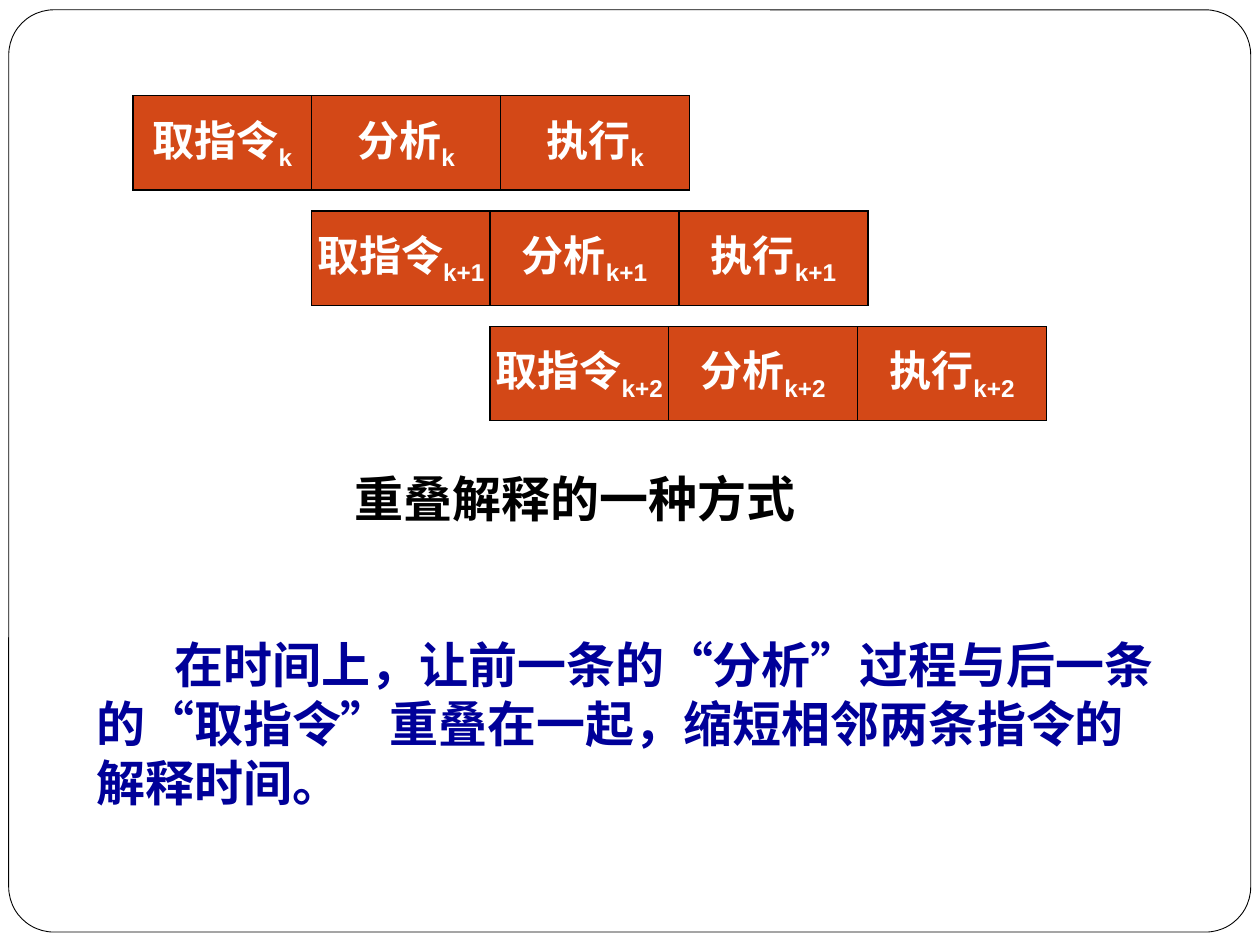
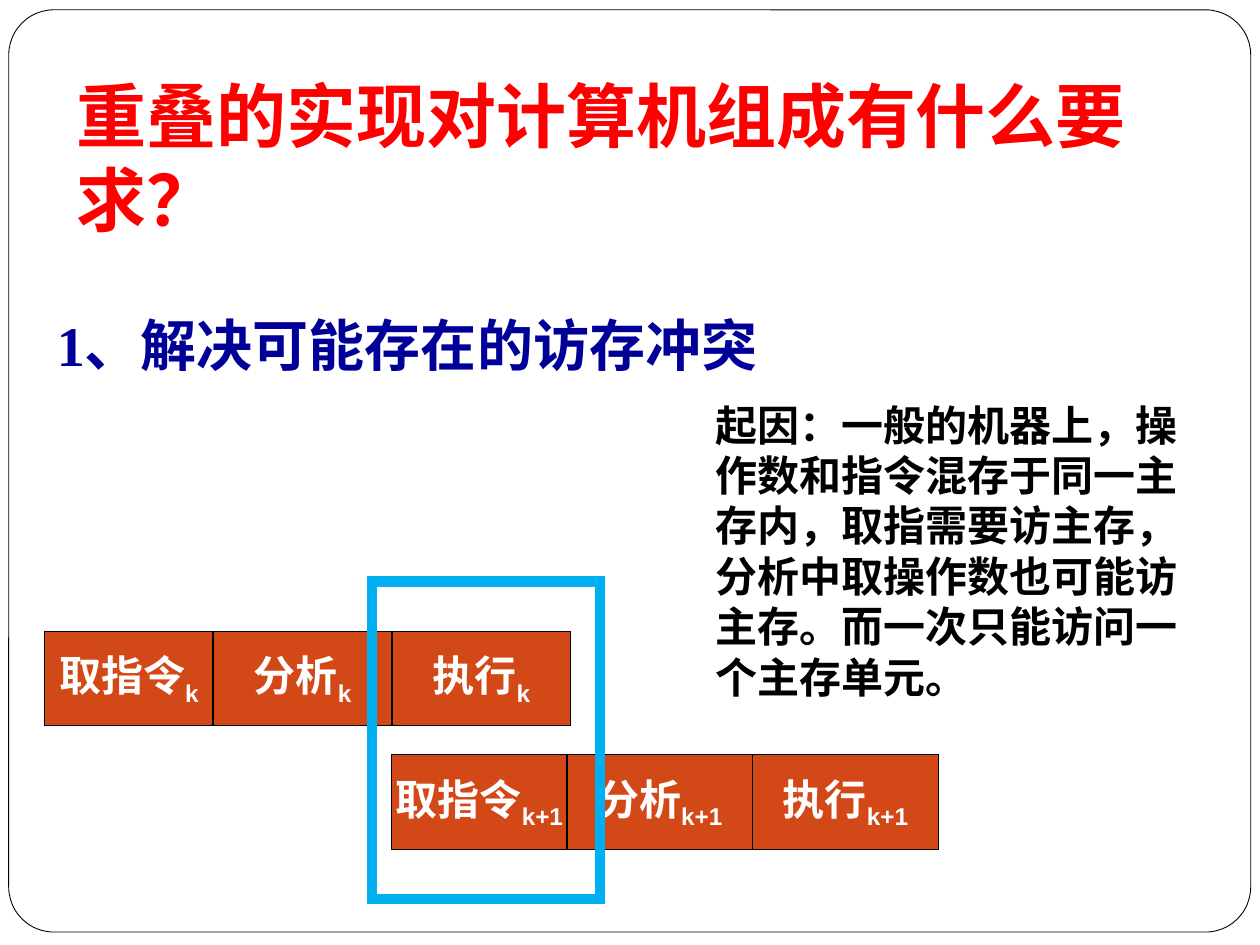
from dataclasses import dataclass

from lxml.etree import SubElement
from pptx import Presentation
from pptx.dml.color import RGBColor
from pptx.enum.shapes import MSO_SHAPE
from pptx.enum.text import MSO_ANCHOR, MSO_AUTO_SIZE, PP_ALIGN
from pptx.oxml.ns import qn
from pptx.util import Pt


@dataclass(frozen=True)
class Theme:
    white: str = "FFFFFF"
    black: str = "000000"
    stage: str = "D34817"
    navy: str = "000099"
    red: str = "FF0000"
    highlight: str = "00B0F0"
    sans: str = "Arial"
    serif: str = "Times New Roman"
    chinese: str = "Noto Sans CJK SC"
    title_size: int = 40
    heading_size: int = 32
    text_size: int = 28
    small_size: int = 24
    line_height: float = 1.2


THEME = Theme()
STAGES = ["取指令", "分析", "执行"]
STAGE_HEIGHT = 54

# Each instruction row: subscript, left, top, width of the first stage, width of the others
OVERLAP_ROWS = [
    (subscript, 76.1 + 102 * number, 54.6 + 65.9 * number, 102, 108)
    for number, subscript in enumerate(["k", "k+1", "k+2"])
]
CONFLICT_ROWS = [
    ("k", 25.4, 360.7, 96.4, 102.2),
    ("k+1", 223.9, 431.3, 100.1, 106.1),
]
CONFLICT_AREA = (212.5, 332.3, 130.3, 181.4)

SLIDES = [
    {
        "title": dict(
            text="重叠解释的一种方式", area=(195.6, 264.4, 388, 41),
            size=THEME.text_size, font=THEME.sans, color=THEME.black,
        ),
        "rows": OVERLAP_ROWS,
        "notes": [
            dict(
                text="在时间上，让前一条的“分析”过程与后一条的“取指令”重叠在一起，"
                     "缩短相邻两条指令的解释时间。",
                area=(48, 359.3, 622, 108), size=THEME.text_size,
                font=THEME.serif, color=THEME.navy, first_indent=44.8,
            ),
        ],
    },
    {
        "title": dict(
            text="重叠的实现对计算机组成有什么要求？", area=(36.7, 37.7, 618, 104),
            size=THEME.title_size, font=THEME.serif, color=THEME.red,
        ),
        "rows": CONFLICT_ROWS,
        "highlight": CONFLICT_AREA,
        "notes": [
            dict(
                text="1、解决可能存在的访存冲突", area=(25.4, 173.9, 572.4, 46),
                size=THEME.heading_size, font=THEME.serif, color=THEME.navy,
            ),
            dict(
                text="起因：一般的机器上，操作数和指令混存于同一主存内，取指需要访主存，"
                     "分析中取操作数也可能访主存。而一次只能访问一个主存单元。",
                area=(365.8, 224.5, 323.3, 180), size=THEME.small_size,
                font=THEME.chinese, color=THEME.black, left_indent=36,
            ),
        ],
    },
]


def points(*lengths):
    return [Pt(length) for length in lengths]


def style(paragraph, size, font, color):
    paragraph.font.size = Pt(size)
    paragraph.font.name = font
    paragraph.font.bold = True
    paragraph.font.color.rgb = RGBColor.from_string(color)
    defaults = paragraph._p.get_or_add_pPr().find(qn("a:defRPr"))
    SubElement(defaults, qn("a:ea")).set("typeface", THEME.chinese)


def write(box, text, area, size, font, color, left_indent=0, first_indent=0):
    """Place a title or text box and fill it with one left-aligned paragraph."""
    box.left, box.top, box.width, box.height = points(*area)
    frame = box.text_frame
    frame.word_wrap = True
    frame.auto_size = MSO_AUTO_SIZE.NONE
    frame.vertical_anchor = MSO_ANCHOR.TOP
    frame.text = text
    paragraph = frame.paragraphs[0]
    paragraph.alignment = PP_ALIGN.LEFT
    paragraph.line_spacing = Pt(size * THEME.line_height)
    properties = paragraph._p.get_or_add_pPr()
    properties.set("marL", str(Pt(left_indent)))
    properties.set("indent", str(Pt(first_indent)))
    style(paragraph, size, font, color)


def add_box(page, area, fill, line, line_width, preset=MSO_SHAPE.RECTANGLE):
    box = page.shapes.add_shape(preset, *points(*area))
    box.shadow.inherit = False
    if fill:
        box.fill.solid()
        box.fill.fore_color.rgb = RGBColor.from_string(fill)
    else:
        box.fill.background()
    box.line.color.rgb = RGBColor.from_string(line)
    box.line.width = Pt(line_width)
    outline = box.element.spPr.find(qn("a:ln"))
    SubElement(outline, qn("a:miter")).set("lim", "800000")
    return box


def add_row(page, subscript, left, top, first_width, other_width):
    """Draw the three stages of one instruction side by side."""
    for number, stage in enumerate(STAGES):
        width = other_width if number else first_width
        box = add_box(page, (left, top, width, STAGE_HEIGHT), THEME.stage, THEME.black, 0.75)
        left += width
        frame = box.text_frame
        frame.word_wrap = False
        frame.vertical_anchor = MSO_ANCHOR.MIDDLE
        paragraph = frame.paragraphs[0]
        paragraph.alignment = PP_ALIGN.CENTER
        paragraph.add_run().text = stage
        span = paragraph.add_run()
        span.text = subscript
        span._r.get_or_add_rPr().set("baseline", "-25000")
        style(paragraph, THEME.small_size, THEME.sans, THEME.white)


def add_master_frame(deck):
    """Draw the rounded page border once, behind everything, on the master."""
    frame = add_box(deck.slides[0], (5, 5.6, 709.7, 527), THEME.white, THEME.black, 0.5,
                    MSO_SHAPE.ROUNDED_RECTANGLE)
    frame.adjustments[0] = 0.049
    deck.slide_master.shapes.element.insert(2, frame.element)


def main():
    deck = Presentation()
    deck.slide_width, deck.slide_height = points(720, 540)
    title_only = deck.slide_layouts[5]
    for content in SLIDES:
        page = deck.slides.add_slide(title_only)
        write(page.shapes.title, **content["title"])
        for row in content["rows"]:
            add_row(page, *row)
        if "highlight" in content:
            add_box(page, content["highlight"], None, THEME.highlight, 6)
        for note in content["notes"]:
            write(page.shapes.add_textbox(*points(*note["area"])), **note)
    add_master_frame(deck)
    deck.save("out.pptx")


if __name__ == "__main__":
    main()
